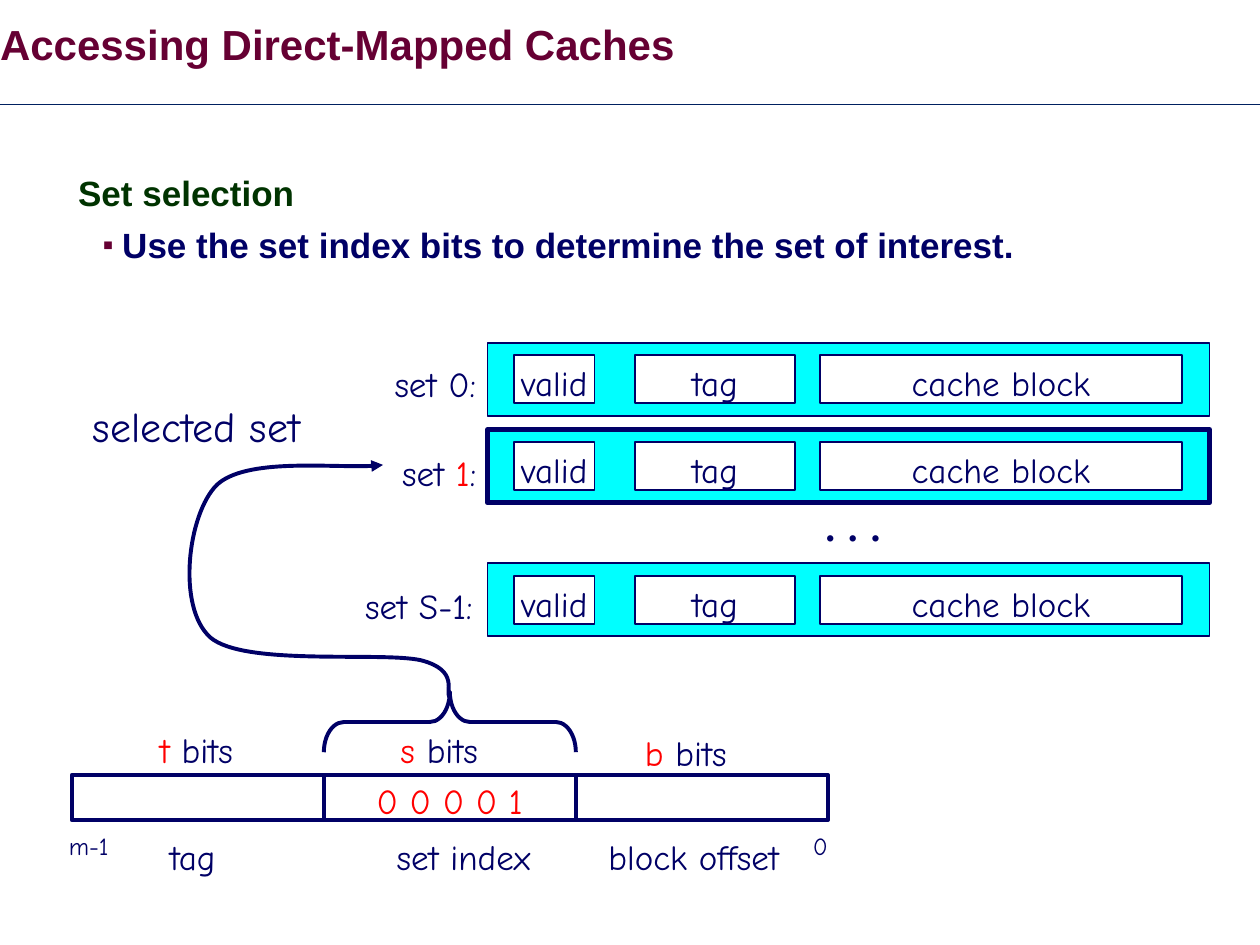
from lxml import etree
from pptx import Presentation
from pptx import util as u
from pptx.dml import color
from pptx.enum import shapes, text
from pptx.oxml import ns

NAVY, RED, MAROON, GREEN = "000066", "FF0000", "660033", "003300"
CYAN, WHITE, RULE_BLUE = "00FFFF", "FFFFFF", "002060"
HAND = "Comic Neue"
LEFT, CENTER = text.PP_ALIGN.LEFT, text.PP_ALIGN.CENTER
TOP, MIDDLE = text.MSO_ANCHOR.TOP, text.MSO_ANCHOR.MIDDLE


def rgb(value):
    """Turn a hex string into a colour."""
    return color.RGBColor.from_string(value)


def place(item, left, top, width, height):
    """Move and size a placeholder."""
    item.left, item.top = u.Inches(left), u.Inches(top)
    item.width, item.height = u.Inches(width), u.Inches(height)


def style(font, size, hue, name=HAND, bold=False):
    """Format a font."""
    font.size, font.name, font.bold = u.Pt(size), name, bold
    font.color.rgb = rgb(hue)


def write(frame, parts, size=20, align=CENTER, anchor=MIDDLE):
    """Write one unwrapped line made of (words, colour) parts."""
    frame.word_wrap = False
    frame.auto_size = text.MSO_AUTO_SIZE.NONE
    frame.vertical_anchor = anchor
    line = frame.paragraphs[0]
    line.alignment, line.line_spacing = align, 1.16
    for words, hue in parts:
        run = line.add_run()
        run.text = words
        style(run.font, size, hue)


def label(slide, box, parts, size=20, align=CENTER, anchor=MIDDLE):
    """Add a free-standing label with room to spare beside its text."""
    frame = slide.shapes.add_textbox(*map(u.Inches, box)).text_frame
    write(frame, parts, size, align, anchor)
    left, right = (0.1, 0) if align == LEFT else (0.05, 0.05)
    frame.margin_left, frame.margin_right = u.Inches(left), u.Inches(right)


def outline(shape, weight, fill=None):
    """Give a shape a navy line and a plain fill or none."""
    shape.shadow.inherit = False
    if fill:
        shape.fill.solid()
        shape.fill.fore_color.rgb = rgb(fill)
    else:
        shape.fill.background()
    shape.line.color.rgb = rgb(NAVY)
    shape.line.width = u.Pt(weight)


def rectangle(slide, box, weight, fill=None, parts=()):
    """Add a rectangle with an optional line of text."""
    shape = slide.shapes.add_shape(shapes.MSO_SHAPE.RECTANGLE, *map(u.Inches, box))
    outline(shape, weight, fill)
    if parts:
        write(shape.text_frame, parts)


def bullet(paragraph, mark=None):
    """Set the indent and the bullet of a paragraph."""
    props = paragraph._p.get_or_add_pPr()
    props.set("marL", str(u.Inches(0.55 if mark else 0.35)))
    props.set("indent", str(u.Inches(-0.15)))
    if not mark:
        etree.SubElement(props, ns.qn("a:buNone"))
        return
    tint = etree.SubElement(props, ns.qn("a:buClr"))
    etree.SubElement(tint, ns.qn("a:srgbClr"), val=MAROON)
    etree.SubElement(props, ns.qn("a:buSzPct"), val="45000")
    etree.SubElement(props, ns.qn("a:buChar"), char=mark)


def heading(slide):
    """Fill the title and draw the rule below it."""
    title = slide.shapes.title
    place(title, 0, 0, 9.53, 0.75)
    frame = title.text_frame
    frame.text = "Accessing Direct-Mapped Caches"
    frame.margin_left = frame.margin_right = frame.margin_top = frame.margin_bottom = 0
    frame.vertical_anchor = MIDDLE
    frame.auto_size = text.MSO_AUTO_SIZE.NONE
    line = frame.paragraphs[0]
    line.alignment, line.line_spacing = LEFT, 0.85
    style(line.runs[0].font, 24, MAROON, "Arial", True)

    rule = slide.shapes.add_connector(
        shapes.MSO_CONNECTOR.STRAIGHT, 0, u.Inches(0.83), u.Inches(10), u.Inches(0.83))
    rule.line.color.rgb = rgb(RULE_BLUE)
    rule.line.width = u.Pt(0.75)
    etree.SubElement(rule.element.spPr, ns.qn("a:effectLst"))


def explanation(slide):
    """Fill the body with the topic and its point."""
    body = slide.placeholders[1]
    place(body, 0.32, 1.34, 9.09, 1.18)
    frame = body.text_frame
    frame.auto_size = text.MSO_AUTO_SIZE.NONE
    frame.text = "Set selection"
    topic, point = frame.paragraphs[0], frame.add_paragraph()
    point.text = "Use the set index bits to determine the set of interest."
    point.level = 1
    bullet(topic)
    bullet(point, "■")
    for paragraph, hue, spacing, before in ((topic, GREEN, 0.93, 0), (point, NAVY, 0.98, 6.2)):
        paragraph.line_spacing, paragraph.space_before = spacing, u.Pt(before)
        style(paragraph.runs[0].font, 20, hue, "Arial", True)


def cache_set(slide, top, weight):
    """Draw one cache set with its three fields."""
    rectangle(slide, (3.87, top, 5.73, 0.58), weight, CYAN)
    for left, width, name in ((4.08, 0.64, "valid"), (5.04, 1.27, "tag"), (6.51, 2.87, "cache block")):
        rectangle(slide, (left, top + 0.1, width, 0.38), 1, WHITE, [(name, NAVY)])


def address(slide):
    """Draw the address word with its fields and labels."""
    index_bits = [("0 0 0 0 1", RED)]
    for field, parts in enumerate(((), index_bits, ())):
        rectangle(slide, (0.57 + 2 * field, 6.15, 2, 0.36), 2.25, parts=parts)
    for letter, left, top, width in (("t", 1.17, 5.68, 0.78), ("s", 3.08, 5.68, 0.81), ("b", 5.02, 5.7, 0.85)):
        label(slide, (left, top, width, 0.48), [(letter, RED), (" bits", NAVY)], 20, LEFT, TOP)
    for name, left, width in (("tag", 1.25, 0.57), ("set index", 3.05, 1.26), ("block offset", 4.73, 1.55)):
        label(slide, (left, 6.53, width, 0.48), [(name, NAVY)], 20, LEFT, TOP)
    for bit, left, width in (("m-1", 0.45, 0.51), ("0", 6.35, 0.32)):
        label(slide, (left, 6.51, width, 0.37), [(bit, NAVY)], 14)


def index_brace(slide):
    """Draw the brace over the set index bits."""
    box = map(u.Inches, (3.33, 4.73, 0.48, 2))
    brace = slide.shapes.add_shape(shapes.MSO_SHAPE.LEFT_BRACE, *box)
    brace.rotation = 90
    brace.adjustments[0] = 0.33
    outline(brace, 2.25)


def selection_arrow(slide):
    """Draw the curved arrow from the set index to the selected set."""
    bends = [
        (3.57, 5.54), (3.53, 5.49), (3.65, 5.32), (3.34, 5.24), (3.02, 5.17),
        (1.94, 5.29), (1.67, 5.06), (1.4, 4.82), (1.49, 4.08), (1.72, 3.85),
        (1.95, 3.63), (2.77, 3.73), (3.04, 3.69)]
    start, *controls = [(u.Inches(x), u.Inches(y)) for x, y in bends]
    builder = slide.shapes.build_freeform(*start)
    builder.add_line_segments(controls, close=False)
    arrow = builder.convert_to_shape()
    outline(arrow, 2.25)
    properties = arrow.element.spPr
    segments = list(properties.iter(ns.qn("a:lnTo")))
    route = segments[0].getparent()
    for first in range(0, len(segments), 3):
        curve = etree.SubElement(route, ns.qn("a:cubicBezTo"))
        for segment in segments[first:first + 3]:
            curve.append(segment[0])
            route.remove(segment)
    etree.SubElement(properties.find(ns.qn("a:ln")), ns.qn("a:tailEnd"), type="triangle")


def main():
    """Build the slide."""
    deck = Presentation()
    deck.slide_width, deck.slide_height = u.Inches(10), u.Inches(7.5)
    slide = deck.slides.add_slide(deck.slide_layouts[1])
    heading(slide)
    explanation(slide)
    address(slide)
    index_brace(slide)
    for top, weight in ((2.72, 1), (3.41, 3), (4.47, 1)):
        cache_set(slide, top, weight)
    label(slide, (3.03, 2.77, 0.85, 0.49), [("set 0:", NAVY)])
    label(slide, (3.09, 3.48, 0.79, 0.49), [("set ", NAVY), ("1", RED), (":", NAVY)])
    label(slide, (2.8, 4.53, 1.05, 0.49), [("set S-1:", NAVY)])
    label(slide, (6.45, 3.96, 0.64, 0.49), [("• • •", NAVY)])
    label(slide, (0.63, 3.06, 1.86, 0.57), [("selected set", NAVY)], 24)
    selection_arrow(slide)
    deck.save("out.pptx")


if __name__ == "__main__":
    main()
